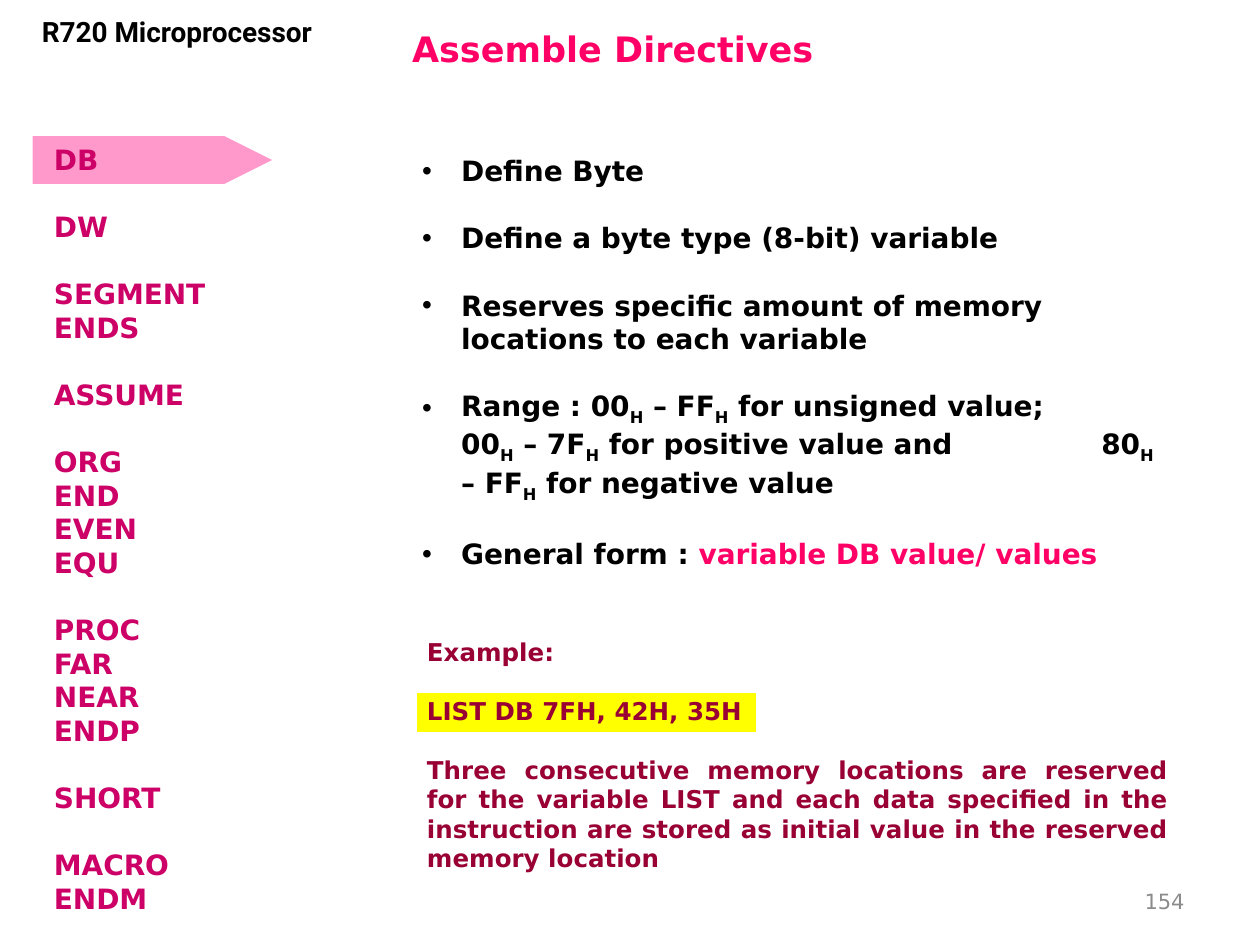
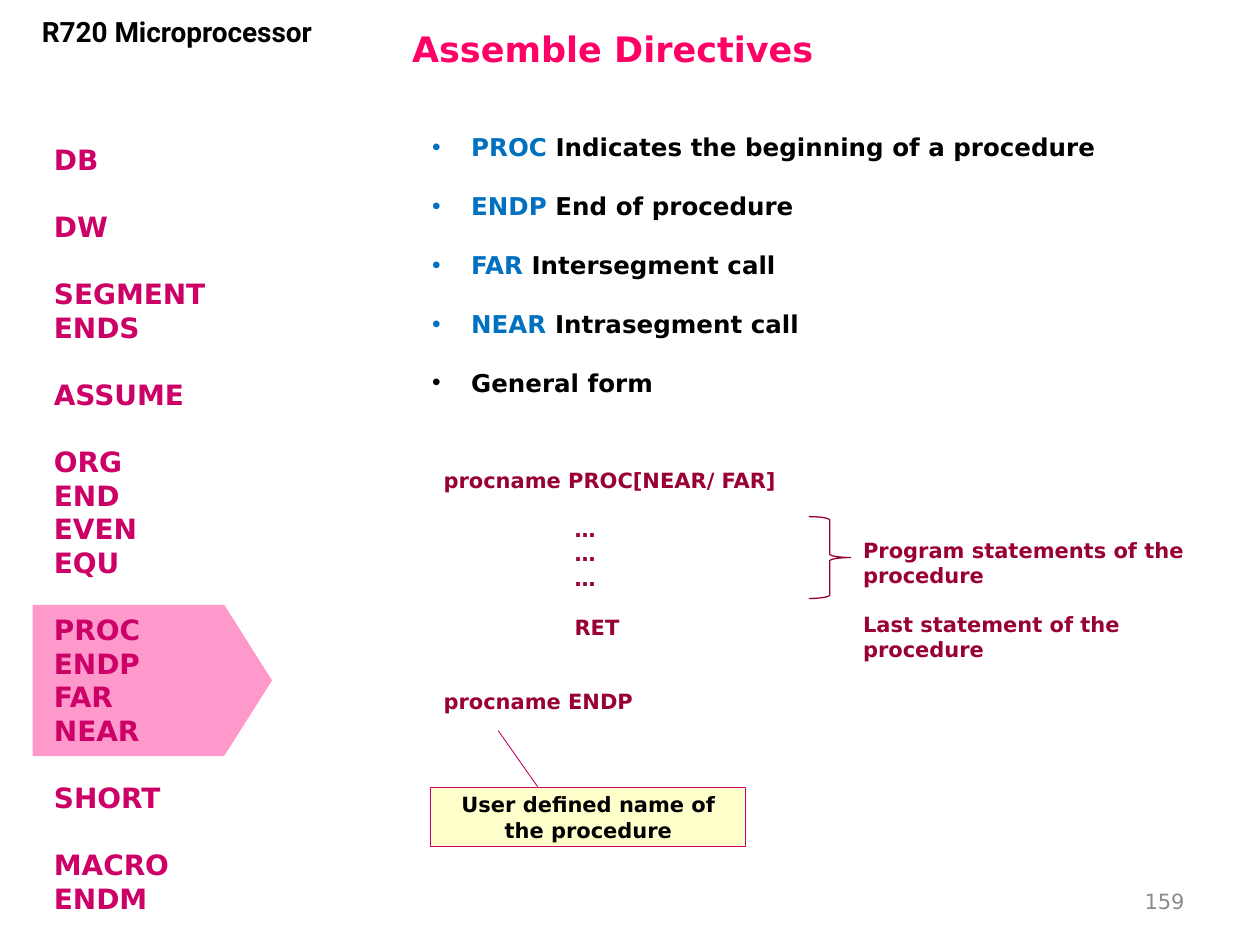
from dataclasses import dataclass
from typing import NamedTuple, Sequence

from lxml.etree import SubElement
from pptx import Presentation
from pptx.dml.color import RGBColor
from pptx.enum.shapes import MSO_SHAPE as Preset
from pptx.enum.text import MSO_ANCHOR as Anchor, MSO_AUTO_SIZE as AutoSize, PP_ALIGN as Align
from pptx.oxml.ns import qn
from pptx.util import Inches, Pt

PINK, MAGENTA, MAROON = "FF0066", "CC0066", "990033"
ARROW_PINK, YELLOW, CREAM = "FF99CC", "FFFF00", "FFFFCC"
BLACK, BLUE, GREY, WHITE = "000000", "0070C0", "8B8B8B", "FFFFFF"
BODY_FONT, HEADER_FONT = "DejaVu Sans", "Roboto"
BLANK_LINE = {12: 14, 14: 16.8, 16: 19.2}  # height of one skipped line, by text size
BULLET_INDENT = 0.31


class Box(NamedTuple):
    left: float
    top: float
    width: float
    height: float

    def lengths(self) -> list:
        return [Inches(value) for value in self]


class Span(NamedTuple):
    text: str
    color: str = ""
    subscript: bool = False


@dataclass
class Line:
    spans: Sequence[Span]
    gap: float = 0
    indent: float = 0
    hanging: float = 0
    tab: float = 0


@dataclass
class Style:
    size: float
    color: str
    bold: bool = True
    font: str = BODY_FONT
    align: Align = Align.LEFT


TITLE = Style(20, PINK)
HEADER = Style(16, BLACK, font=HEADER_FONT, align=Align.CENTER)
PAGE_NUMBER = Style(12, GREY, bold=False, align=Align.RIGHT)
MENU = Style(16, MAGENTA)
EXAMPLE = Style(14, MAROON, align=Align.JUSTIFY)
FORM = Style(12, MAROON)
CALLOUT = Style(12, BLACK, align=Align.CENTER)


def rgb(color: str) -> RGBColor:
    return RGBColor.from_string(color)


def plain(text: str, gap: float = 0, indent: float = 0) -> Line:
    return Line([Span(text)], gap, indent)


def subscripted(text: str) -> list[Span]:
    """Split at bars; every second piece is a subscript."""
    return [Span(piece, subscript=index % 2 == 1) for index, piece in enumerate(text.split("|"))]


def bullets(items: Sequence[Sequence[Span]], size: int, tab: float = 0) -> list[Line]:
    return [Line(spans, BLANK_LINE[size] if index else 0, BULLET_INDENT, -BULLET_INDENT, tab)
            for index, spans in enumerate(items)]


def write(frame, lines: Sequence[Line], style: Style) -> None:
    for index, line in enumerate(lines):
        paragraph = frame.add_paragraph() if index else frame.paragraphs[0]
        properties = paragraph._p.get_or_add_pPr()
        properties.set("marL", str(Inches(line.indent)))
        properties.set("indent", str(Inches(line.hanging)))
        if line.tab:
            tabs = SubElement(properties, qn("a:tabLst"))
            SubElement(tabs, qn("a:tab"), pos=str(Inches(line.tab)), algn="l")
        paragraph.alignment = style.align
        paragraph.space_before = Pt(line.gap)
        for span in line.spans:
            for part_index, part in enumerate(span.text.split("\n")):
                if part_index:
                    paragraph.add_line_break()
                run = paragraph.add_run()
                run.text = part
                run.font.name = style.font
                run.font.size = Pt(style.size)
                run.font.bold = style.bold
                run.font.color.rgb = rgb(span.color or style.color)
                if span.subscript:
                    run._r.get_or_add_rPr().set("baseline", "-25000")


def fill_placeholder(shape, box: Box, lines: Sequence[Line], style: Style, anchor: Anchor) -> None:
    shape.left, shape.top, shape.width, shape.height = box.lengths()
    frame = shape.text_frame
    frame.auto_size = AutoSize.NONE
    frame.vertical_anchor = anchor
    write(frame, lines, style)


def add_text(slide, box: Box, lines: Sequence[Line], style: Style, anchor: Anchor = Anchor.TOP) -> None:
    frame = slide.shapes.add_textbox(*box.lengths()).text_frame
    frame.word_wrap = True
    frame.vertical_anchor = anchor
    write(frame, lines, style)


def add_preset(slide, preset: Preset, box: Box, fill: str = "", line: str = "",
               line_width: float = 0.75, adjustments: Sequence[float] = ()):
    shape = slide.shapes.add_shape(preset, *box.lengths())
    shape.shadow.inherit = False
    if fill:
        shape.fill.solid()
        shape.fill.fore_color.rgb = rgb(fill)
    else:
        shape.fill.background()
    if line:
        shape.line.color.rgb = rgb(line)
        shape.line.width = Pt(line_width)
    else:
        shape.line.fill.background()
    for index, value in enumerate(adjustments):
        shape.adjustments[index] = value
    return shape


def add_menu_arrow(slide, top: float, height: float) -> None:
    """Right-pointing tag: an off-page connector turned by 270 degrees about its centre."""
    left, length = 0.26, 1.9
    box = Box(left + (length - height) / 2, top + (height - length) / 2, height, length)
    add_preset(slide, Preset.FLOWCHART_OFFPAGE_CONNECTOR, box, ARROW_PINK).rotation = 270


def add_directives_slide(presentation, page: int, procedure_group: str, arrow_top: float,
                         arrow_height: float, body_box: Box, items: Sequence[Line], body_style: Style):
    slide = presentation.slides.add_slide(presentation.slide_layouts[1])
    fill_placeholder(slide.shapes.title, Box(3.17, 0.12, 6.58, 0.53),
                     [plain("Assemble Directives")], TITLE, Anchor.MIDDLE)
    fill_placeholder(slide.placeholders[1], body_box, items, body_style, Anchor.TOP)
    add_menu_arrow(slide, arrow_top, arrow_height)
    add_text(slide, Box(7.17, 6.95, 2.33, 0.4), [plain(str(page))], PAGE_NUMBER, Anchor.MIDDLE)
    add_text(slide, Box(0.07, 0.07, 2.67, 0.63), [plain("R720 Microprocessor")], HEADER)
    groups = ["DB", "DW", "SEGMENT ENDS", "ASSUME", "ORG END EVEN EQU",
              procedure_group, "SHORT", "MACRO ENDM"]
    menu = [plain(name, BLANK_LINE[16] if group_index and not name_index else 0)
            for group_index, group in enumerate(groups)
            for name_index, name in enumerate(group.split())]
    add_text(slide, Box(0.33, 1.08, 1.63, 6.22), menu, MENU)
    return slide


def add_define_byte_slide(presentation) -> None:
    items = [
        [Span("Define Byte")],
        [Span("Define a byte type (8-bit) variable")],
        [Span("Reserves specific amount of memory locations to each variable")],
        subscripted("Range : 00|H| – FF|H| for unsigned value;\n00|H| – 7F|H| for positive value and"
                    "\t80|H| – FF|H| for negative value"),
        [Span("General form : "), Span("variable DB value/ values", PINK)],
    ]
    slide = add_directives_slide(presentation, 154, "PROC FAR NEAR ENDP", 1.08, 0.38,
                                 Box(3.25, 1.17, 6.17, 3.67), bullets(items, 16, tab=5.39),
                                 Style(16, BLACK))
    add_preset(slide, Preset.RECTANGLE, Box(3.31, 5.5, 2.69, 0.31), YELLOW)
    gap = BLANK_LINE[14]
    add_text(slide, Box(3.29, 5.01, 6.08, 1.96), [
        plain("Example:"),
        plain("LIST DB 7FH, 42H, 35H", gap),
        plain("Three consecutive memory locations are reserved for the variable LIST and each data "
              "specified in the instruction are stored as initial value in the reserved memory location",
              gap),
    ], EXAMPLE)


def add_general_form(slide) -> None:
    table = slide.shapes.add_table(1, 2, *Box(3.42, 3.67, 6.25, 0.41).lengths()).table
    gap, indent = BLANK_LINE[12], 1.04
    code = [
        plain("procname PROC[NEAR/ FAR]"),
        *[plain("…", 0 if index else gap, indent) for index in range(3)],
        plain("RET", gap, indent),
        plain("procname ENDP", 2 * gap),
    ]
    remarks = [plain("Program statements of the procedure"),
               plain("Last statement of the procedure", gap)]
    for column, (width, lines) in enumerate([(3.33, code), (2.92, remarks)]):
        table.columns[column].width = Inches(width)
        cell = table.cell(0, column)
        cell.fill.solid()
        cell.fill.fore_color.rgb = rgb(WHITE)
        write(cell.text_frame, lines, FORM)
    table.cell(0, 1).margin_top = Inches(0.61)


def add_procedure_slide(presentation) -> None:
    meanings = {"PROC": "Indicates the beginning of a procedure", "ENDP": "End of procedure",
                "FAR": "Intersegment call", "NEAR": "Intrasegment call"}
    items = [[Span(name, BLUE), Span(f" {meaning}")] for name, meaning in meanings.items()]
    items.append([Span("General form")])
    slide = add_directives_slide(presentation, 159, "PROC ENDP FAR NEAR", 4.8, 1.2,
                                 Box(3.33, 1, 6.17, 2.2), bullets(items, 14), Style(14, BLACK))
    add_general_form(slide)
    add_preset(slide, Preset.RIGHT_BRACE, Box(6.42, 4.1, 0.33, 0.65), line=MAROON,
               adjustments=(0.083, 0.5))
    callout = add_preset(slide, Preset.LINE_CALLOUT_1, Box(3.42, 6.25, 2.5, 0.47), CREAM, MAGENTA, 0.5,
                         (-0.013, 0.339, -0.959, 0.214))
    callout.text_frame.word_wrap = True
    callout.text_frame.vertical_anchor = Anchor.MIDDLE
    write(callout.text_frame, [plain("User defined name of the procedure")], CALLOUT)


def main() -> None:
    presentation = Presentation()
    presentation.slide_width, presentation.slide_height = Inches(10), Inches(7.5)
    add_define_byte_slide(presentation)
    add_procedure_slide(presentation)
    presentation.save("out.pptx")


if __name__ == "__main__":
    main()
